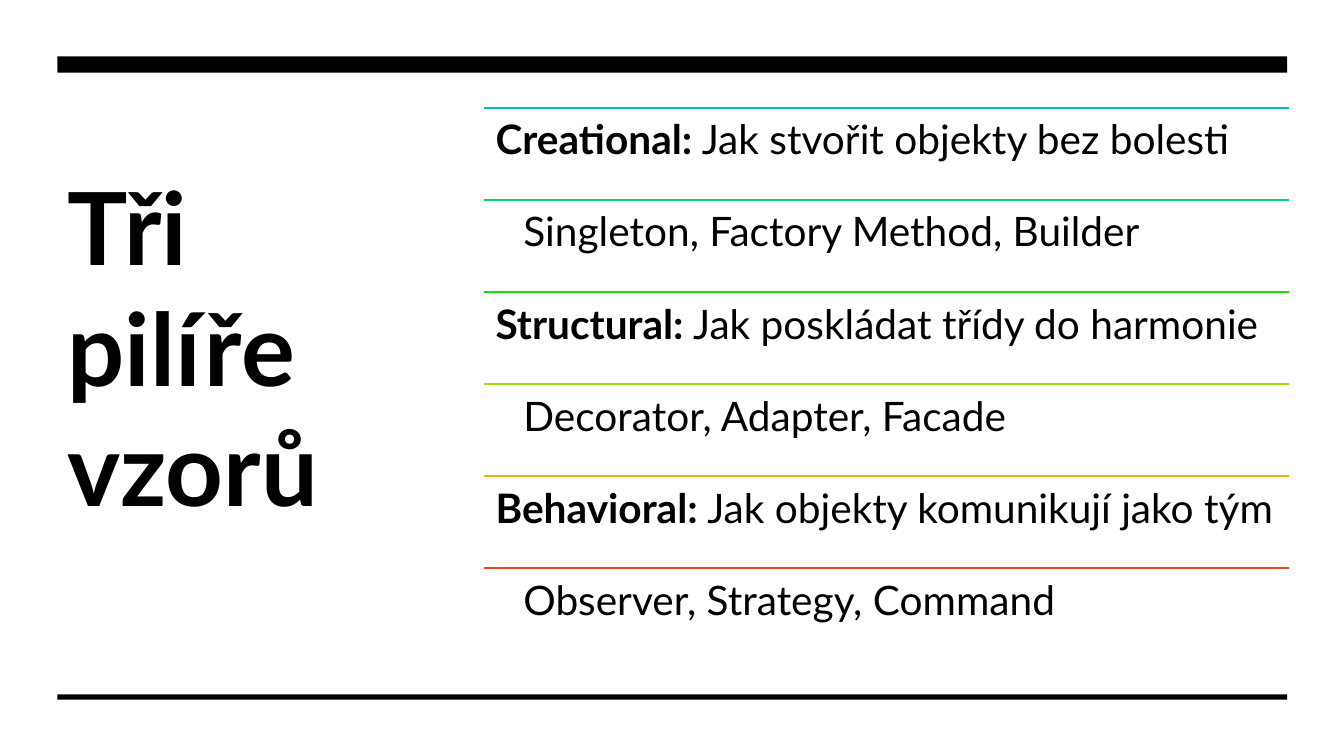
"""Builds the slide on the three pillars of design patterns."""
from dataclasses import dataclass

from lxml import etree
from pptx import Presentation
from pptx.dml.color import RGBColor
from pptx.enum.shapes import MSO_CONNECTOR, MSO_SHAPE
from pptx.enum.text import MSO_ANCHOR
from pptx.oxml.ns import qn
from pptx.slide import Slide
from pptx.util import Cm, Pt

LINE = MSO_CONNECTOR.STRAIGHT
RECT = MSO_SHAPE.RECTANGLE
TOP = MSO_ANCHOR.TOP


@dataclass(frozen=True)
class Theme:
    """Colours and type sizes of the slide."""
    font: str = "Lato"
    ink: str = "000000"
    paper: str = "FFFFFF"
    title: int = 72
    body: int = 29
    after: int = 10
    rule: float = 1.5


@dataclass(frozen=True)
class Box:
    """Place and size in centimetres."""
    left: float
    top: float
    width: float
    height: float


@dataclass(frozen=True)
class Bar:
    """A black bar across the slide."""
    top: float
    height: float


@dataclass(frozen=True)
class Row:
    """A ruled row with an optional bold lead."""
    hue: str
    lead: str
    text: str
    indent: float = 0


THEME = Theme()
EDGE, SPAN = 1.45, 30.99
LEFT, START, WIDTH, STEP = 12.19, 2.72, 20.3, 2.32
INDENT = 0.7
TITLE = Box(EDGE, 4.01, 8.76, 11.3)
BARS = [Bar(1.42, 0.41), Bar(17.5, 0.13)]
ROWS = [
    Row("00BAC8", "Creational:", " Jak stvořit objekty bez bolesti"),
    Row("04D169", "", "Singleton, Factory Method, Builder", INDENT),
    Row("1AD909", "Structural:", " Jak poskládat třídy do harmonie"),
    Row("99E00F", "", "Decorator, Adapter, Facade", INDENT),
    Row("E7B615", "Behavioral:", " Jak objekty komunikují jako tým"),
    Row("E64823", "", "Observer, Strategy, Command", INDENT),
]


def add_text(slide: Slide, box: Box, runs: list[tuple[str, bool]], size: int,
             inset: tuple[float, float], space: float = 1, after: int = 0,
             indent: float = 0) -> None:
    """Adds one paragraph of text, run by run."""
    shape = slide.shapes.add_textbox(Cm(box.left), Cm(box.top), Cm(box.width), Cm(box.height))
    frame = shape.text_frame
    frame.word_wrap = True
    frame.vertical_anchor = TOP
    side, edge = inset
    frame.margin_left = Cm(side + indent)
    frame.margin_right = Cm(side)
    frame.margin_top = frame.margin_bottom = Cm(edge)
    para = frame.paragraphs[0]
    para.line_spacing = space
    para.space_after = Pt(after)
    for text, bold in runs:
        run = para.add_run()
        run.text = text
        run.font.name = THEME.font
        run.font.size = Pt(size)
        run.font.bold = bold
        run.font.color.rgb = RGBColor.from_string(THEME.ink)


def add_bar(slide: Slide, bar: Bar) -> None:
    """Adds a plain black bar."""
    shape = slide.shapes.add_shape(RECT, Cm(EDGE), Cm(bar.top), Cm(SPAN), Cm(bar.height))
    shape.shadow.inherit = False
    shape.fill.solid()
    shape.fill.fore_color.rgb = RGBColor.from_string(THEME.ink)
    shape.line.fill.background()


def add_row(slide: Slide, row: Row, top: float) -> None:
    """Adds a coloured rule with its text below."""
    rule = slide.shapes.add_connector(LINE, Cm(LEFT), Cm(top), Cm(LEFT + WIDTH), Cm(top))
    rule.line.color.rgb = RGBColor.from_string(row.hue)
    rule.line.width = Pt(THEME.rule)
    etree.SubElement(rule._element.spPr, qn("a:effectLst"))
    runs = [(row.lead, True)] if row.lead else []
    add_text(slide, Box(LEFT, top, WIDTH, STEP), runs + [(row.text, False)], THEME.body,
             (0.3, 0.3), 0.9, THEME.after, row.indent)


def main() -> None:
    """Builds and saves the deck."""
    deck = Presentation()
    deck.slide_width, deck.slide_height = Cm(33.87), Cm(19.05)
    slide = deck.slides.add_slide(deck.slide_layouts[6])
    fill = slide.background.fill
    fill.solid()
    fill.fore_color.rgb = RGBColor.from_string(THEME.paper)
    add_text(slide, TITLE, [("Tři pilíře vzorů", True)], THEME.title, (0.25, 0.13))
    for bar in BARS:
        add_bar(slide, bar)
    for index, row in enumerate(ROWS):
        add_row(slide, row, START + index * STEP)
    deck.save("out.pptx")


if __name__ == "__main__":
    main()
